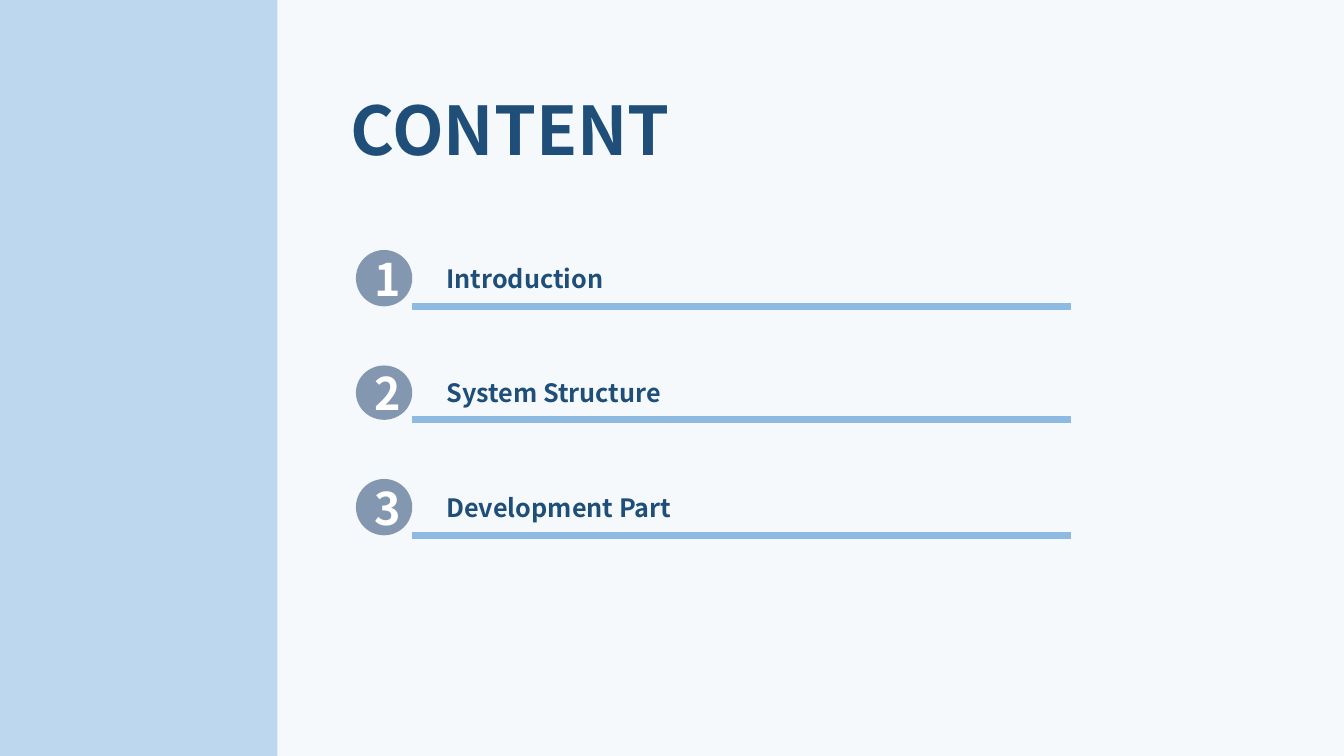
from dataclasses import dataclass
from lxml.etree import SubElement as Sub
from pptx import Presentation
from pptx.dml.color import RGBColor as Rgb
from pptx.enum.shapes import MSO_CONNECTOR as Link, MSO_SHAPE as Form
from pptx.enum.text import MSO_ANCHOR as Anchor, MSO_AUTO_SIZE as Fit, PP_ALIGN as Align
from pptx.oxml.ns import qn
from pptx.util import Cm, Pt


@dataclass(frozen=True)
class Theme:
    font: str = "Noto Sans CJK KR"
    page: str = "F6F9FC"
    band: str = "BDD7EE"
    badge: str = "8497B0"
    rule: str = "8EBAE2"
    ink: str = "1F4E79"
    white: str = "FFFFFF"
    title: int = 48
    digit: int = 32
    item: int = 18
    stroke: int = 5


def apply(target, **values):
    for name, value in values.items():
        setattr(target, name, value)


class Deck:
    def __init__(self, theme):
        self.theme = theme
        self.prs = Presentation()
        apply(self.prs, slide_width=Cm(33.87), slide_height=Cm(19.05))
        self.slide = self.prs.slides.add_slide(self.prs.slide_layouts[6])
        self.paint(self.slide.background.fill, theme.page)

    def paint(self, fill, color):
        fill.solid()
        fill.fore_color.rgb = Rgb.from_string(color)

    def letter(self, frame, text, size, color, align=None):
        par = frame.paragraphs[0]
        par.alignment = align
        run = par.add_run()
        run.text = text
        apply(run.font, name=self.theme.font, size=Pt(size), bold=True)
        run.font.color.rgb = Rgb.from_string(color)

    def shape(self, form, box, color):
        item = self.slide.shapes.add_shape(form, *map(Cm, box))
        item.shadow.inherit = False
        self.paint(item.fill, color)
        item.line.fill.background()
        return item

    def badge(self, box, text):
        frame = self.shape(Form.OVAL, box, self.theme.badge).text_frame
        apply(frame, word_wrap=True, vertical_anchor=Anchor.MIDDLE)
        self.letter(frame, text, self.theme.digit, self.theme.white, Align.CENTER)

    def label(self, box, text, size):
        frame = self.slide.shapes.add_textbox(*map(Cm, box)).text_frame
        apply(frame, word_wrap=True, auto_size=Fit.SHAPE_TO_FIT_TEXT)
        self.letter(frame, text, size, self.theme.ink)

    def rule(self, left, right, y):
        ends = map(Cm, (left, y, right, y))
        line = self.slide.shapes.add_connector(Link.STRAIGHT, *ends)
        line.line.width = Pt(self.theme.stroke)
        self.paint(line.line.fill, self.theme.rule)
        Sub(line._element.spPr, qn("a:effectLst"))


def main():
    theme = Theme()
    deck = Deck(theme)

    # Side band and title
    deck.shape(Form.RECTANGLE, (0, 0, 6.99, 19.05), theme.band)
    deck.label((8.59, 2.11, 11.76, 2.31), "CONTENT", theme.title)

    # Numbered entries: each badge and label sits on its rule
    left, wide = 8.97, 1.42
    rows = [
        ("Introduction", 7.72, 1.42),
        ("System Structure", 10.58, 1.37),
        ("Development Part", 13.49, 1.42),
    ]
    for num, (text, base, high) in enumerate(rows, 1):
        deck.badge((left, base - high, wide, high), str(num))
        deck.rule(left + wide, 27, base)
        deck.label((11, base - 1.2, 15.39, 1.02), text, theme.item)

    deck.prs.save("out.pptx")


if __name__ == "__main__":
    main()
